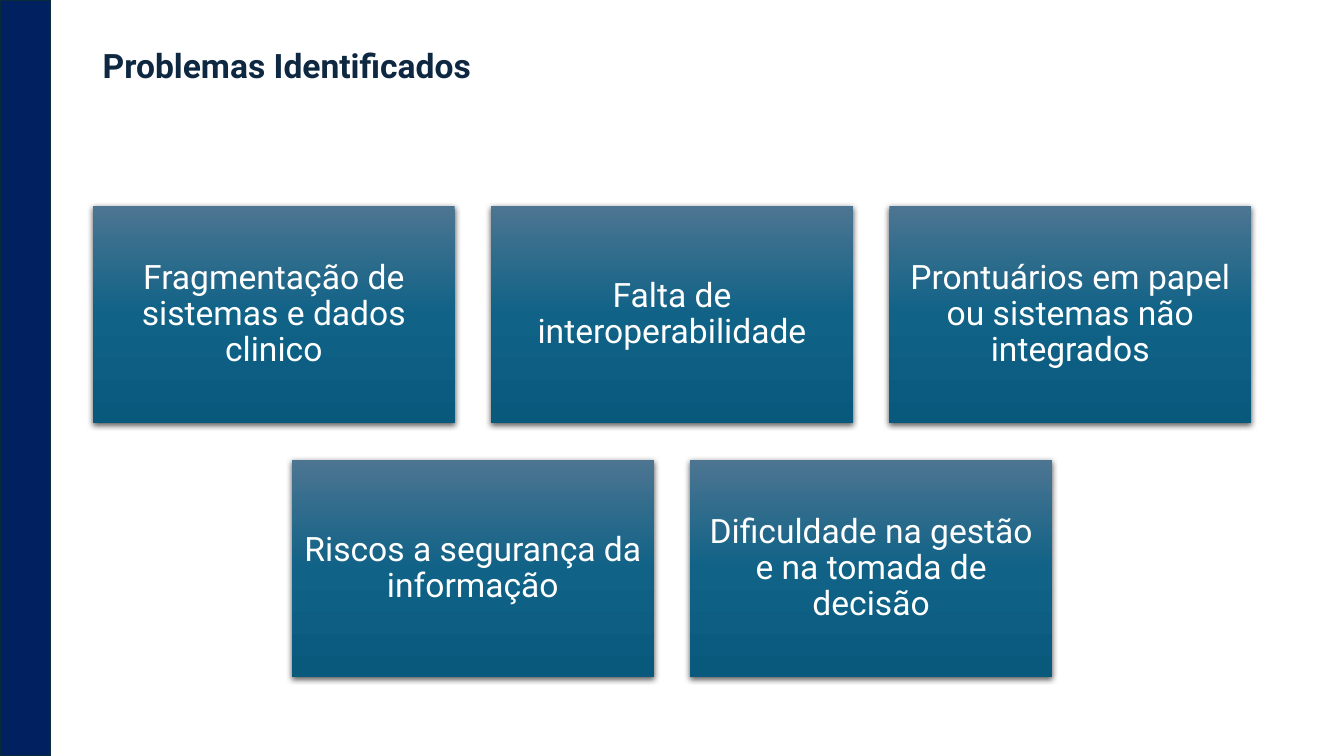
"""Builds the slide that lists the problems identified in clinical systems."""
from dataclasses import dataclass

from lxml.etree import SubElement
from pptx import Presentation
from pptx.dml.color import RGBColor
from pptx.enum.shapes import MSO_SHAPE
from pptx.enum.text import MSO_ANCHOR, PP_ALIGN
from pptx.oxml.ns import qn
from pptx.util import Inches, Pt


@dataclass(frozen=True)
class Theme:
    font: str = "Roboto"
    size: int = 24
    title: str = "0E2841"
    band: str = "002060"
    band_line: str = "092A39"
    card_text: str = "FFFFFF"
    card_stops: tuple = ((0, "4C7591"), (50, "106287"), (100, "09597D"))
    shadow: str = "000000"


theme = Theme()


def style_text(paragraph, color, bold=False):
    for run in paragraph.runs:
        run.font.name = theme.font
        run.font.size = Pt(theme.size)
        run.font.bold = bold
        run.font.color.rgb = RGBColor.from_string(color)


def paint_card(card):
    card.fill.gradient()
    card.fill.gradient_angle = 270
    card.line.fill.background()
    card.shadow.inherit = False
    properties = card._element.spPr
    stops = properties.find(qn("a:gradFill")).find(qn("a:gsLst"))
    for stop in list(stops):
        stops.remove(stop)
    for percent, color in theme.card_stops:
        stop = SubElement(stops, qn("a:gs"), pos=str(percent * 1000))
        SubElement(stop, qn("a:srgbClr"), val=color)
    shadow = SubElement(
        properties.find(qn("a:effectLst")), qn("a:outerShdw"),
        blurRad=str(Pt(4.5)), dist=str(Pt(1.5)), dir="5400000",
        algn="ctr", rotWithShape="0")
    shade = SubElement(shadow, qn("a:srgbClr"), val=theme.shadow)
    SubElement(shade, qn("a:alpha"), val="63000")


deck = Presentation()
deck.slide_width, deck.slide_height = Inches(13.33), Inches(7.5)
slide = deck.slides.add_slide(deck.slide_layouts[6])

band = slide.shapes.add_shape(MSO_SHAPE.RECTANGLE, 0, 0, Inches(0.5), deck.slide_height)
band.shadow.inherit = False
band.fill.solid()
band.fill.fore_color.rgb = RGBColor.from_string(theme.band)
band.line.color.rgb = RGBColor.from_string(theme.band_line)
band.line.width = Pt(1.5)

title = slide.shapes.add_textbox(Inches(0.92), Inches(0.4), Inches(11.5), Inches(1.45))
title.text_frame.word_wrap = True
title.text_frame.text = "Problemas Identificados"
style_text(title.text_frame.paragraphs[0], theme.title, bold=True)

problem_rows = [
    ["Fragmentação de sistemas e dados clinico",
     "Falta de interoperabilidade",
     "Prontuários em papel ou sistemas não integrados"],
    ["Riscos a segurança da informação",
     "Dificuldade na gestão e na tomada de decisão"],
]
card_width, card_height, gap = 3.59, 2.16, 0.36
grid_center, grid_top = 6.665, 2.04

for row, problems in enumerate(problem_rows):
    row_width = len(problems) * (card_width + gap) - gap
    row_left = grid_center - row_width / 2
    for column, problem in enumerate(problems):
        card = slide.shapes.add_shape(
            MSO_SHAPE.RECTANGLE,
            Inches(row_left + column * (card_width + gap)),
            Inches(grid_top + row * (card_height + gap)),
            Inches(card_width), Inches(card_height))
        paint_card(card)
        frame = card.text_frame
        frame.word_wrap = True
        frame.vertical_anchor = MSO_ANCHOR.MIDDLE
        frame.margin_left = frame.margin_right = Inches(0.1)
        frame.margin_top = frame.margin_bottom = Inches(0.1)
        frame.text = problem
        label = frame.paragraphs[0]
        label.alignment = PP_ALIGN.CENTER
        label.line_spacing = 0.9
        style_text(label, theme.card_text)

deck.save("out.pptx")
